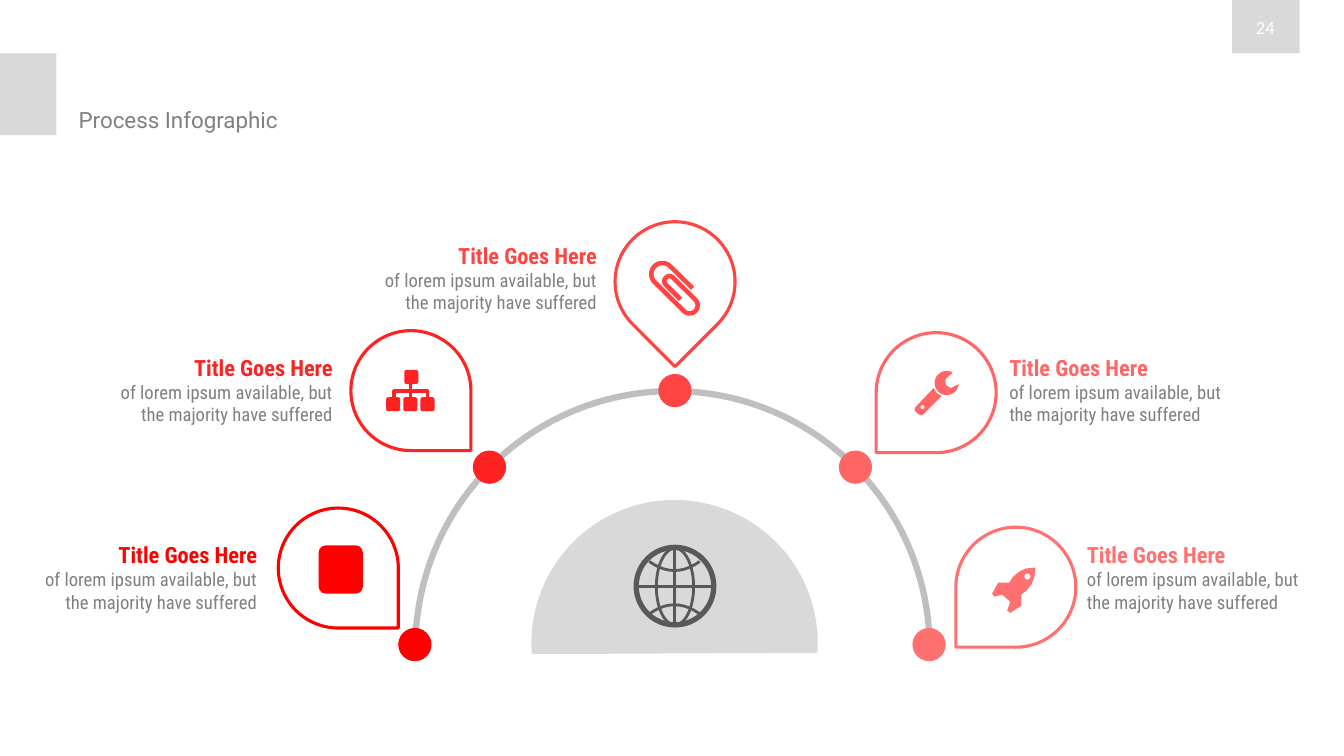
from collections import namedtuple
from math import cos, radians, sin

from lxml import etree
from pptx import Presentation
from pptx.dml.color import RGBColor
from pptx.enum.shapes import MSO_CONNECTOR, MSO_SHAPE
from pptx.enum.text import MSO_ANCHOR, PP_ALIGN
from pptx.oxml.ns import qn
from pptx.util import Pt

PX = 9144
LEFT, CENTER, RIGHT = PP_ALIGN.LEFT, PP_ALIGN.CENTER, PP_ALIGN.RIGHT
TOP, MIDDLE = MSO_ANCHOR.TOP, MSO_ANCHOR.MIDDLE
OVAL, RECT, ROUNDED = MSO_SHAPE.OVAL, MSO_SHAPE.RECTANGLE, MSO_SHAPE.ROUNDED_RECTANGLE
ARC, CHORD, TEARDROP = MSO_SHAPE.ARC, MSO_SHAPE.CHORD, MSO_SHAPE.TEAR
STRAIGHT = MSO_CONNECTOR.STRAIGHT

COLORS = {
    "white": "FFFFFF", "panel": "D9D9D9", "text": "808080", "track": "BFBFBF",
    "globe": "595959", "step1": "FF0000", "step2": "FF2222", "step3": "FF4444",
    "step4": "FF6666", "step5": "FF7171",
}
HEADING = {"name": "Roboto Condensed", "size": Pt(16), "bold": True}
DETAIL = {"name": "Roboto Condensed", "size": Pt(13.3), "bold": False}
TITLE = {"name": "Roboto", "size": Pt(16)}
PAGE_NUMBER = {"name": "Calibri", "size": Pt(13.3)}
DOT = 33
DROP = 119

Step = namedtuple("Step", "color dot drop turn caption align")
STEPS = [
    Step("step1", (395, 623), (276, 504), 90, (33, 537), RIGHT),
    Step("step2", (469, 447), (348, 328), 90, (108, 351), RIGHT),
    Step("step3", (653, 371), (610, 220), 135, (370, 240), RIGHT),
    Step("step4", (832, 447), (869, 330), 180, (1001, 351), LEFT),
    Step("step5", (905, 623), (948, 523), 180, (1078, 537), LEFT),
]


def rgb(color):
    """Return the RGB value of a named colour."""
    return RGBColor.from_string(COLORS[color])


def emu(*lengths):
    """Turn px lengths into EMU."""
    return [round(length * PX) for length in lengths]


def paint(shape, fill=None, line=None, width=0):
    """Set the fill and line of a shape and drop its shadow."""
    shape.shadow.inherit = False
    if fill:
        shape.fill.solid()
        shape.fill.fore_color.rgb = rgb(fill)
    else:
        shape.fill.background()
    if line:
        shape.line.color.rgb = rgb(line)
        shape.line.width = Pt(width)
    else:
        shape.line.fill.background()


def preset(shapes, kind, box, turn=0, adjust=(), **look):
    """Add a preset shape."""
    shape = shapes.add_shape(kind, *emu(*box))
    shape.rotation = turn
    for index, value in enumerate(adjust):
        shape.adjustments[index] = value
    paint(shape, **look)


def outline(shapes, contours, closed=True, **look):
    """Add a freeform made of one or more contours."""
    first, *others = [[emu(*point) for point in contour] for contour in contours]
    builder = shapes.build_freeform(*first[0], scale=1.0)
    builder.add_line_segments(first[1:], close=closed)
    for contour in others:
        builder.move_to(*contour[0])
        builder.add_line_segments(contour[1:], close=closed)
    paint(builder.convert_to_shape(), **look)


def connect(shapes, ends, color, width):
    """Add a straight line without a shadow."""
    connector = shapes.add_connector(STRAIGHT, *emu(*ends))
    connector.line.color.rgb = rgb(color)
    connector.line.width = Pt(width)
    etree.SubElement(connector._element.spPr, qn("a:effectLst"))


def sweep(x, y, radius, start, end, count=20):
    """Return points along a circular arc given in degrees."""
    angles = [radians(start + (end - start) * i / count) for i in range(count + 1)]
    return [(x + radius * cos(a), y + radius * sin(a)) for a in angles]


def write(shapes, box, runs, align=LEFT, anchor=TOP):
    """Add a text box whose runs are divided by line breaks."""
    frame = shapes.add_textbox(*emu(*box)).text_frame
    margins = dict.fromkeys(("margin_left", "margin_top", "margin_right", "margin_bottom"), 0)
    for name, value in {**margins, "word_wrap": True, "vertical_anchor": anchor}.items():
        setattr(frame, name, value)
    paragraph = frame.paragraphs[0]
    paragraph.alignment = align
    for index, (words, style, color) in enumerate(runs):
        if index:
            paragraph.add_line_break()
        run = paragraph.add_run()
        run.text = words
        for name, value in style.items():
            setattr(run.font, name, value)
        run.font.color.rgb = rgb(color)


def draw_globe(shapes):
    """Draw the globe in the centre of the arc."""
    preset(shapes, OVAL, (631, 543, 77, 77), line="globe", width=3.75)
    preset(shapes, OVAL, (651, 544, 37, 76), line="globe", width=2)
    connect(shapes, (669, 543, 669, 620), "globe", 2)
    connect(shapes, (631, 582, 708, 582), "globe", 2)
    for middle, bend in ((566, -9), (600, 9)):
        parallel = [(669 + dx, middle + bend * (dx / 25) ** 2) for dx in range(-25, 26, 5)]
        outline(shapes, [parallel], closed=False, line="globe", width=2)


def draw_badge(shapes, color):
    """Draw a plain rounded badge."""
    preset(shapes, ROUNDED, (316, 541, 44, 48), fill=color)


def draw_hierarchy(shapes, color):
    """Draw one box above three linked boxes."""
    outline(shapes, [[(391, 395), (391, 388), (424, 388), (424, 395)]],
            closed=False, line=color, width=2.5)
    connect(shapes, (407, 378, 407, 395), color, 2.5)
    for x, y in ((401, 367), (383, 394), (400, 394), (417, 394)):
        preset(shapes, ROUNDED, (x, y, 14, 14), fill=color)


def draw_clip(shapes, color):
    """Draw a paper clip as one bent wire."""
    wire = [(687, 286), *sweep(657, 272, 11, -45, -225), *sweep(684, 303, 8, 135, -45),
            *sweep(664, 279, 5, -45, -225), (675, 297)]
    outline(shapes, [wire], closed=False, line=color, width=3.25)


def draw_wrench(shapes, color):
    """Draw a wrench with an open jaw and a pierced handle."""
    jaw = [*sweep(939, 380, 12, 5, 300), (938, 376), (938, 382), (943, 385)]
    handle = [(926, 385), (929, 390), (934, 393), (916, 411), (914, 412),
              (911, 411), (908, 408), (907, 406), (908, 404)]
    outline(shapes, [jaw, handle, sweep(915, 404, 2, 0, 360)], fill=color)


def draw_rocket(shapes, color):
    """Draw a rocket with a round window."""
    hull = [(1027, 563), (1026, 572), (1023, 580), (1018, 586), (1013, 590), (1013, 601),
            (1002, 608), (999, 606), (1002, 597), (994, 590), (986, 592), (984, 589),
            (990, 578), (1001, 578), (1005, 572), (1011, 567), (1018, 564)]
    outline(shapes, [hull, sweep(1019, 572, 3, 0, 360)], fill=color)


def draw_step(shapes, step, draw_icon):
    """Draw a step with its dot, pin, caption and icon."""
    preset(shapes, OVAL, (*step.dot, DOT, DOT), fill=step.color)
    preset(shapes, TEARDROP, (*step.drop, DROP, DROP), step.turn, line=step.color, width=2.25)
    caption = [("Title Goes Here", HEADING, step.color),
               ("of lorem ipsum available, but the majority have suffered", DETAIL, "text")]
    write(shapes, (*step.caption, 222, 94), caption, step.align)
    draw_icon(shapes, step.color)


def main():
    """Build the process slide and save it."""
    deck = Presentation()
    deck.slide_width, deck.slide_height = emu(1333, 750)
    shapes = deck.slides.add_slide(deck.slide_layouts[6]).shapes
    for box in ((1222, 0, 67, 53), (0, 53, 56, 81)):
        preset(shapes, RECT, box, fill="panel")
    write(shapes, (1233, 15, 44, 23), [("24", PAGE_NUMBER, "white")], CENTER, MIDDLE)
    write(shapes, (78, 104, 600, 29), [("Process Infographic", TITLE, "text")], anchor=MIDDLE)
    preset(shapes, CHORD, (527, 496, 284, 284), 105, (42.35, 155.32), fill="panel")
    draw_globe(shapes)
    preset(shapes, ARC, (412, 388, 510, 510), adjust=(107.69, 0), line="track", width=4.5)
    icons = (draw_badge, draw_hierarchy, draw_clip, draw_wrench, draw_rocket)
    for step, draw_icon in zip(STEPS, icons):
        draw_step(shapes, step, draw_icon)
    deck.save("out.pptx")


if __name__ == "__main__":
    main()
